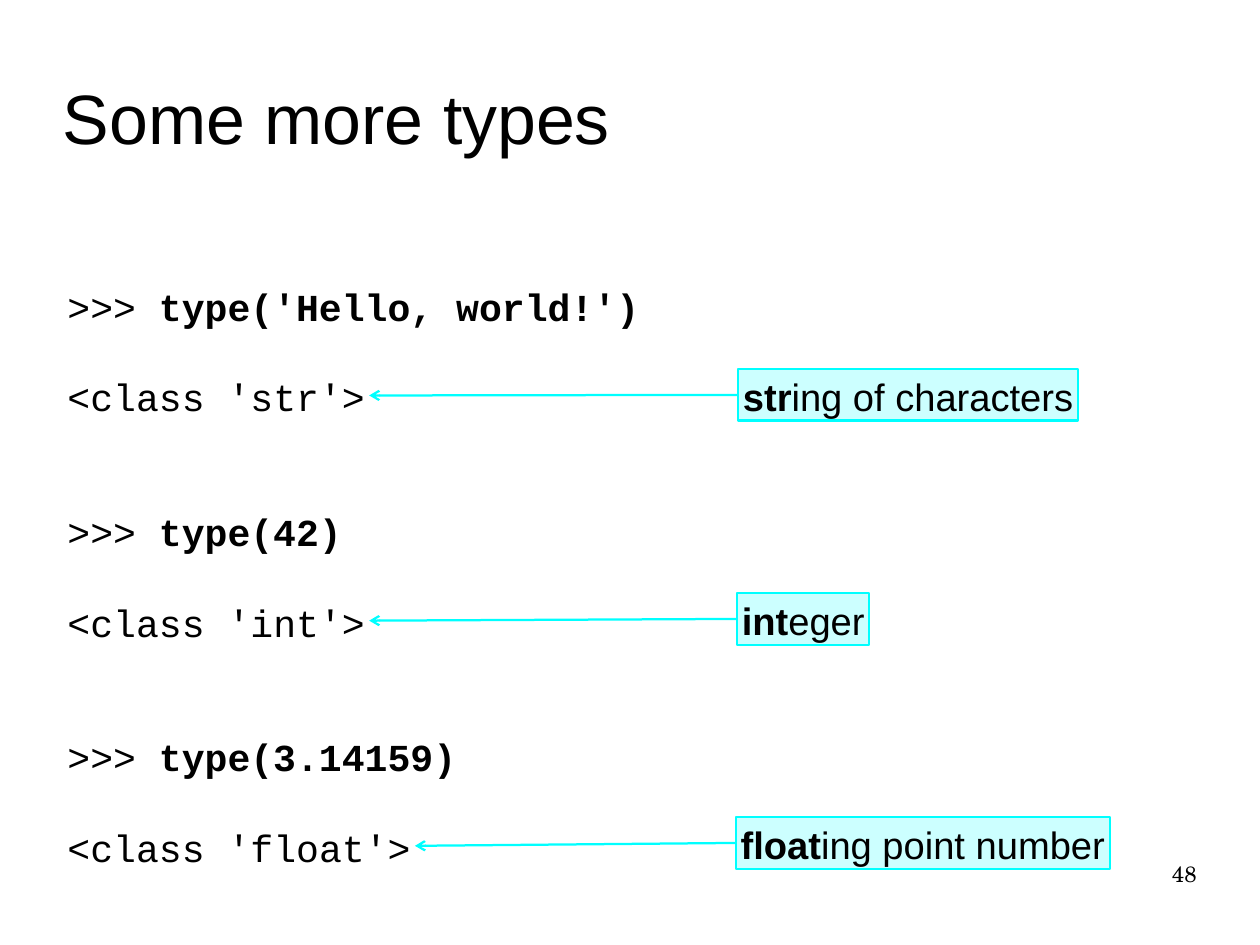
"""Build the slide that shows the types of three Python values."""
from dataclasses import dataclass

from lxml import etree
from pptx import Presentation
from pptx import util as u
from pptx.dml.color import RGBColor
from pptx.enum import shapes, text
from pptx.oxml import ns

BLACK = RGBColor(0x00, 0x00, 0x00)
CYAN = RGBColor(0x00, 0xFF, 0xFF)
PALE_CYAN = RGBColor(0xCC, 0xFF, 0xFF)

CM_PER_INCH = 2.54
LEFT = 0.55
CALL_LEFT = 1.35
FIRST_TOP = 2.44
EXAMPLE_STEP = 1.97
RESULT_DROP = 0.79
CODE_HEIGHT = 0.46
CHAR_WIDTH = 0.2
PADDING = 0.04
LINE_WIDTH = 1.42
RIGHT_SIDE, LEFT_SIDE = 3, 1


@dataclass(frozen=True)
class Example:
    call: str
    result: str
    stem: str
    ending: str
    label_left: float
    label_top: float
    label_width: float


EXAMPLES = [
    Example("type('Hello, world!')", "<class 'str'>", "str", "ing of characters", 6.46, 3.23, 2.97),
    Example("type(42)", "<class 'int'>", "int", "eger", 6.45, 5.19, 1.15),
    Example("type(3.14159)", "<class 'float'>", "float", "ing point number", 6.44, 7.15, 3.27),
]


def set_frame(frame, padding: float) -> None:
    """Give a text frame margins, with none on the right."""
    frame.margin_left = frame.margin_top = frame.margin_bottom = u.Inches(padding)
    frame.margin_right = 0


def fit_to_text(frame) -> None:
    """Let a one-line box grow with its text."""
    set_frame(frame, PADDING)
    frame.word_wrap = False
    frame.auto_size = text.MSO_AUTO_SIZE.SHAPE_TO_FIT_TEXT


def set_font(paragraph, name: str, size: float) -> None:
    """Set the typeface, size and colour of a paragraph."""
    paragraph.font.name = name
    paragraph.font.size = u.Pt(size)
    paragraph.font.color.rgb = BLACK


def add_code(slide, code: str, left: float, top: float, bold: bool = False):
    """Add one piece of code, as wide as its characters."""
    width = CHAR_WIDTH * len(code) + 2 * PADDING
    box = slide.shapes.add_textbox(*map(u.Inches, (left, top, width, CODE_HEIGHT)))
    fit_to_text(box.text_frame)
    paragraph = box.text_frame.paragraphs[0]
    paragraph.text = code
    set_font(paragraph, "Courier New", 24)
    paragraph.font.bold = bold
    return box


def add_label(slide, example: Example):
    """Add the box that spells out the type name."""
    label = slide.shapes.add_shape(
        shapes.MSO_SHAPE.RECTANGLE,
        *map(u.Inches, (example.label_left, example.label_top, example.label_width, 0.45)),
    )
    label.shadow.inherit = False
    label.fill.solid()
    label.fill.fore_color.rgb = PALE_CYAN
    label.line.color.rgb = CYAN
    label.line.width = u.Pt(LINE_WIDTH)
    fit_to_text(label.text_frame)
    label.text_frame.vertical_anchor = text.MSO_ANCHOR.TOP
    paragraph = label.text_frame.paragraphs[0]
    paragraph.alignment = text.PP_ALIGN.LEFT
    set_font(paragraph, "Arial", 24)
    for part, bold in ((example.stem, True), (example.ending, False)):
        run = paragraph.add_run()
        run.text = part
        run.font.bold = bold
    return label


def add_arrow(slide, label, result) -> None:
    """Join a label to the result it explains."""
    arrow = slide.shapes.add_connector(shapes.MSO_CONNECTOR.STRAIGHT, 0, 0, 0, 0)
    arrow.begin_connect(label, LEFT_SIDE)
    arrow.end_connect(result, RIGHT_SIDE)
    arrow.line.color.rgb = CYAN
    arrow.line.width = u.Pt(LINE_WIDTH)
    line = arrow._element.spPr.find(ns.qn("a:ln"))
    etree.SubElement(line, ns.qn("a:tailEnd"), type="arrow")
    etree.SubElement(arrow._element.spPr, ns.qn("a:effectLst"))


def add_example(slide, example: Example, top: float) -> None:
    """Add a call, its result and the explanation."""
    add_code(slide, ">>>", LEFT, top)
    add_code(slide, example.call, CALL_LEFT, top, bold=True)
    result = add_code(slide, example.result, LEFT, top + RESULT_DROP)
    add_arrow(slide, add_label(slide, example), result)


def add_heading(slide) -> None:
    """Add the slide title."""
    heading = slide.shapes.add_textbox(*map(u.Inches, (LEFT, 0.33, 9.92, 1.38)))
    frame = heading.text_frame
    set_frame(frame, 0)
    frame.word_wrap = True
    frame.vertical_anchor = text.MSO_ANCHOR.MIDDLE
    frame.text = "Some more types"
    set_font(frame.paragraphs[0], "Arial", 44)


def add_page_number(slide) -> None:
    """Add the page number at the lower right."""
    page_number = slide.shapes.add_textbox(*map(u.Inches, (7.9, 7.53, 2.57, 0.57)))
    frame = page_number.text_frame
    set_frame(frame, 0)
    frame.word_wrap = True
    frame.text = "48"
    frame.paragraphs[0].alignment = text.PP_ALIGN.RIGHT
    set_font(frame.paragraphs[0], "TeX Gyre Schola", 14)


def main() -> None:
    """Create and save the presentation."""
    deck = Presentation()
    deck.slide_width = u.Inches(28 / CM_PER_INCH)
    deck.slide_height = u.Inches(21 / CM_PER_INCH)
    slide = deck.slides.add_slide(deck.slide_layouts[6])
    add_page_number(slide)
    add_heading(slide)
    for index, example in enumerate(EXAMPLES):
        add_example(slide, example, FIRST_TOP + index * EXAMPLE_STEP)
    deck.save("out.pptx")


if __name__ == "__main__":
    main()
